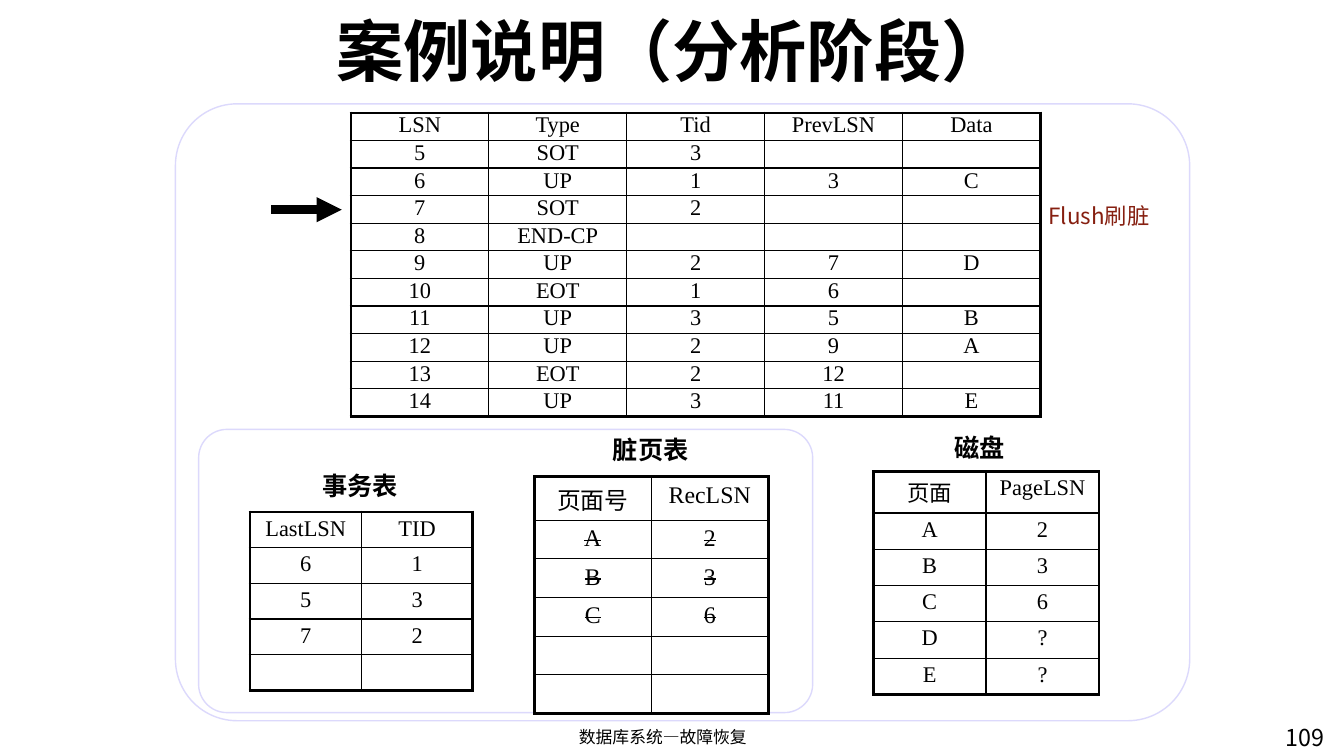
import pptx
import pptx.dml.color
import pptx.enum.dml
import pptx.enum.shapes
import pptx.enum.text
import pptx.oxml.ns
import pptx.util
from lxml import etree

Inches = pptx.util.Inches
Pt = pptx.util.Pt
ALIGN = pptx.enum.text.PP_ALIGN
ANCHOR = pptx.enum.text.MSO_ANCHOR
qn = pptx.oxml.ns.qn


def color(value):
    return pptx.dml.color.RGBColor.from_string(value)


def set_attributes(target, values):
    for name, value in values.items():
        setattr(target, name, value)


class SlideBuilder:
    SANS = "Noto Sans CJK SC"
    SERIF = "Times New Roman"
    BLACK = "000000"
    WHITE = "FFFFFF"
    PANEL_LINE = "DCD9FC"
    THIN, THICK = 1, 2.25

    def __init__(self, slide):
        self.slide = slide

    def panel(self, left, top, width, height):
        shape = self.slide.shapes.add_shape(
            pptx.enum.shapes.MSO_SHAPE.ROUNDED_RECTANGLE,
            Inches(left), Inches(top), Inches(width), Inches(height))
        shape.adjustments[0] = 0.1
        shape.shadow.inherit = False
        shape.fill.solid()
        shape.fill.fore_color.rgb = color(self.WHITE)
        shape.line.color.rgb = color(self.PANEL_LINE)
        shape.line.width = Pt(self.THIN)

    def styled_run(self, paragraph, text, size, font, fill=BLACK, bold=False, strike=False):
        run = paragraph.add_run()
        run.text = text
        set_attributes(run.font, {"size": Pt(size), "name": font, "bold": bold})
        run.font.color.rgb = color(fill)
        properties = run._r.get_or_add_rPr()
        etree.SubElement(properties, qn("a:ea"), typeface=font)
        if strike:
            properties.set("strike", "sngStrike")

    def text(self, text, left, top, width, height, size, align=ALIGN.LEFT,
             anchor=ANCHOR.TOP, wrap=True, spacing=1.0, **style):
        box = self.slide.shapes.add_textbox(
            Inches(left), Inches(top), Inches(width), Inches(height))
        set_attributes(box.text_frame, {"word_wrap": wrap, "vertical_anchor": anchor})
        paragraph = box.text_frame.paragraphs[0]
        set_attributes(paragraph, {"alignment": align, "line_spacing": spacing})
        self.styled_run(paragraph, text, size, self.SANS, **style)

    def arrow(self, start_x, end_x, y, width):
        connector = self.slide.shapes.add_connector(
            pptx.enum.shapes.MSO_CONNECTOR.STRAIGHT,
            Inches(start_x), Inches(y), Inches(end_x), Inches(y))
        connector.line.color.rgb = color(self.BLACK)
        connector.line.width = Pt(width)
        properties = connector._element.spPr
        etree.SubElement(properties.find(qn("a:ln")), qn("a:tailEnd"), type="triangle")
        etree.SubElement(properties, qn("a:effectLst"))

    def border(self, cell, side, width):
        line = etree.SubElement(cell._tc.get_or_add_tcPr(), qn(f"a:ln{side}"),
                                w=str(Pt(width)))
        fill = etree.SubElement(line, qn("a:solidFill"))
        etree.SubElement(fill, qn("a:srgbClr"), val=self.BLACK)

    def table(self, rows, left, top, width, row_height, header_height=None,
              size=16, margins=(0.09, 0.04), strike=False):
        """Draw a grid with a thick frame; strike crosses out the body cells."""
        header_height = header_height or row_height
        last_row, last_column = len(rows) - 1, len(rows[0]) - 1
        table = self.slide.shapes.add_table(
            len(rows), len(rows[0]), Inches(left), Inches(top), Inches(width),
            Inches(header_height + row_height * last_row)).table
        set_attributes(table, {"first_row": False, "horz_banding": False})
        side_margin, end_margin = map(Inches, margins)
        for r, values in enumerate(rows):
            table.rows[r].height = Inches(row_height if r else header_height)
            for c, value in enumerate(values):
                cell = table.cell(r, c)
                set_attributes(cell, {
                    "margin_left": side_margin, "margin_right": side_margin,
                    "margin_top": end_margin, "margin_bottom": end_margin})
                outer = {"L": c == 0, "R": c == last_column,
                         "T": r == 0, "B": r == last_row}
                for side, is_outer in outer.items():
                    self.border(cell, side, self.THICK if is_outer else self.THIN)
                cell.fill.solid()
                cell.fill.fore_color.rgb = color(self.WHITE)
                paragraph = cell.text_frame.paragraphs[0]
                paragraph.alignment = ALIGN.CENTER
                if value:
                    font = self.SERIF if value.isascii() else self.SANS
                    self.styled_run(paragraph, value, size, font, strike=strike and r > 0)
                else:
                    etree.SubElement(paragraph._p, qn("a:endParaRPr"), sz=str(size * 100))


LOG_RECORDS = [
    ("LSN", "Type", "Tid", "PrevLSN", "Data"),
    ("5", "SOT", "3", "", ""),
    ("6", "UP", "1", "3", "C"),
    ("7", "SOT", "2", "", ""),
    ("8", "END-CP", "", "", ""),
    ("9", "UP", "2", "7", "D"),
    ("10", "EOT", "1", "6", ""),
    ("11", "UP", "3", "5", "B"),
    ("12", "UP", "2", "9", "A"),
    ("13", "EOT", "2", "12", ""),
    ("14", "UP", "3", "11", "E"),
]
TRANSACTIONS = [("LastLSN", "TID"), ("6", "1"), ("5", "3"), ("7", "2"), ("", "")]
DIRTY_PAGES = [("页面号", "RecLSN"), ("A", "2"), ("B", "3"), ("C", "6"), ("", ""), ("", "")]
DISK_PAGES = [("页面", "PageLSN"), ("A", "2"), ("B", "3"), ("C", "6"), ("D", "?"), ("E", "?")]


def main():
    presentation = pptx.Presentation()
    presentation.slide_width = Inches(13.33)
    presentation.slide_height = Inches(7.5)
    builder = SlideBuilder(presentation.slides.add_slide(presentation.slide_layouts[6]))

    builder.panel(1.74, 1.03, 10.06, 6.12)
    builder.panel(1.97, 4.26, 6.09, 2.81)
    builder.text("109", 12.65, 7.13, 0.84, 0.52, 16.6)
    builder.text("案例说明（分析阶段）", 1.15, 0.12, 11.04, 0.74, 48,
                 align=ALIGN.CENTER, anchor=ANCHOR.MIDDLE, bold=True)
    builder.text("数据库系统—故障恢复", 4.47, 7.16, 4.21, 0.34, 12, align=ALIGN.CENTER)
    builder.arrow(2.69, 3.39, 2.08, 6)

    builder.table(LOG_RECORDS, 3.48, 1.12, 6.84, 3.01 / len(LOG_RECORDS), margins=(0.05, 0))
    builder.table(TRANSACTIONS, 2.48, 5.08, 2.21, 1.77 / len(TRANSACTIONS))
    builder.table(DIRTY_PAGES, 5.3, 4.73, 2.32, 0.37, header_height=0.43,
                  size=17, margins=(0.09, 0.05), strike=True)
    builder.table(DISK_PAGES, 8.66, 4.68, 2.24, 0.36, header_height=0.41)

    for label, left, top, width in [("事务表", 3.1, 4.62, 0.96),
                                    ("脏页表", 5.98, 4.26, 0.96),
                                    ("磁盘", 9.37, 4.24, 0.7)]:
        builder.text(label, left, top, width, 0.4, 18, wrap=False, bold=True)
    builder.text("Flush刷脏", 10.3, 2, 1.21, 0.37, 16, spacing=0.85, fill="861F10")

    presentation.save("out.pptx")


if __name__ == "__main__":
    main()
